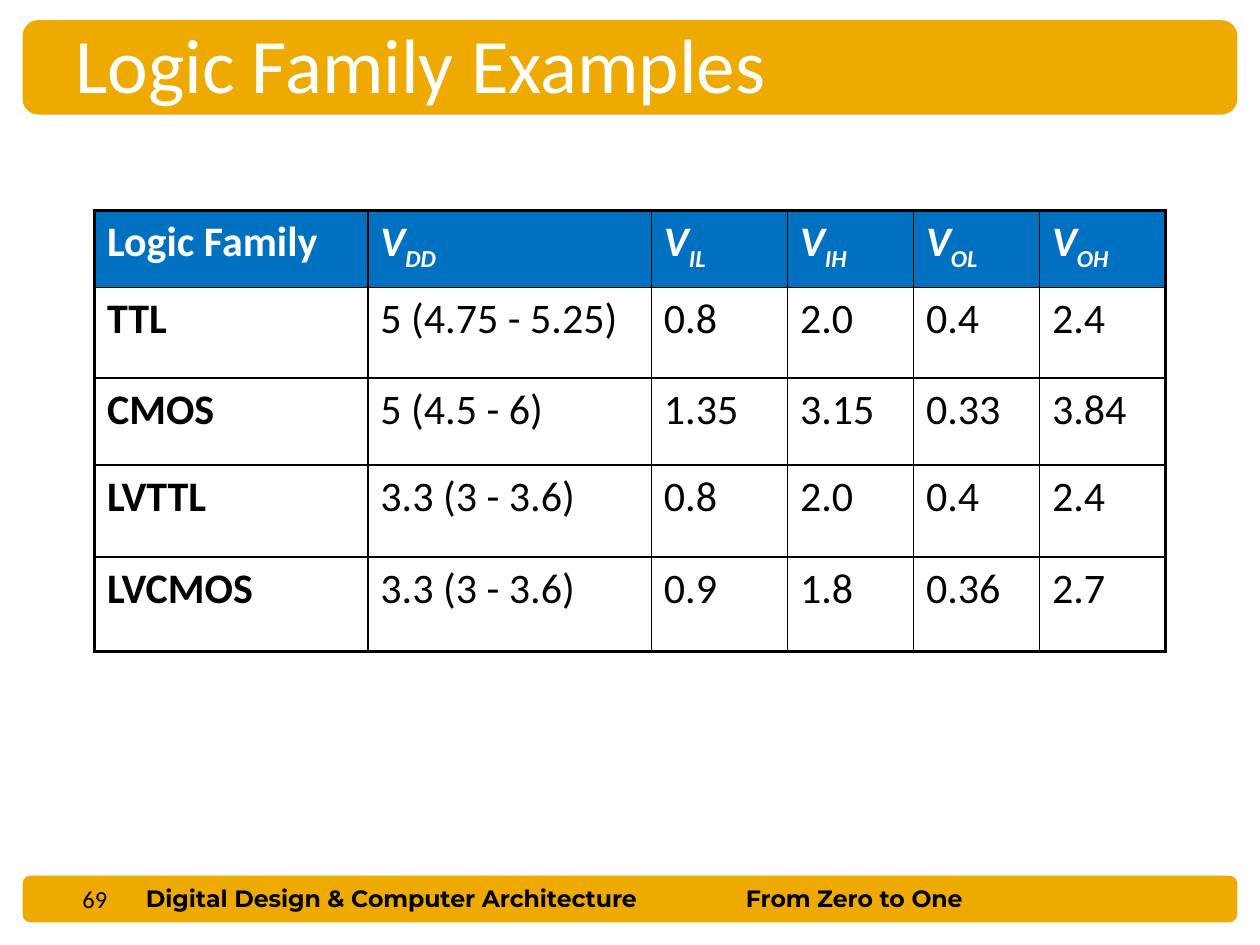
from lxml import etree
from pptx import Presentation
from pptx.dml.color import RGBColor
from pptx.enum import shapes, text
from pptx.oxml import ns
from pptx.util import Inches, Pt

COLOURS = {"gold": "EEAA00", "blue": "0070C0", "black": "000000", "white": "FFFFFF"}
COLUMN_WIDTHS = [2.17, 2.25, 1.08, 1, 1, 1]
ROW_HEIGHTS = [0.61, 0.72, 0.69, 0.73, 0.75]
VOLTAGES = ["DD", "IL", "IH", "OL", "OH"]
FAMILIES = [
    ["TTL", "5 (4.75 - 5.25)", "0.8", "2.0", "0.4", "2.4"],
    ["CMOS", "5 (4.5 - 6)", "1.35", "3.15", "0.33", "3.84"],
    ["LVTTL", "3.3 (3 - 3.6)", "0.8", "2.0", "0.4", "2.4"],
    ["LVCMOS", "3.3 (3 - 3.6)", "0.9", "1.8", "0.36", "2.7"],
]


def colour(name):
    """Return the named palette colour."""
    return RGBColor.from_string(COLOURS[name])


def add_span(para, words, size=24, font="Calibri", ink="black", bold=False,
             italic=False, baseline=0):
    """Append formatted text to a paragraph."""
    span = para.add_run()
    span.text = words
    span.font.size = Pt(size)
    span.font.name = font
    span.font.bold = bold
    span.font.italic = italic
    span.font.color.rgb = colour(ink)
    if baseline:
        span.font._element.set("baseline", str(baseline * 1000))


def add_label(page, box, words, align=text.PP_ALIGN.LEFT, **style):
    """Place one line of text in a box."""
    label = page.shapes.add_textbox(*map(Inches, box))
    label.text_frame.word_wrap = True
    para = label.text_frame.paragraphs[0]
    para.alignment = align
    add_span(para, words, **style)


def add_bar(page, box):
    """Draw a rounded gold bar."""
    bar = page.shapes.add_shape(shapes.MSO_SHAPE.ROUNDED_RECTANGLE, *map(Inches, box))
    bar.shadow.inherit = False
    bar.fill.solid()
    bar.fill.fore_color.rgb = colour("gold")
    bar.line.fill.background()


def add_header(page, box):
    """Draw the title bar and its title."""
    left, top, width, height = box
    add_bar(page, box)
    add_label(page, (left + 0.32, top - 0.08, width - 0.97, height + 0.09),
              "Logic Family Examples", size=44, ink="white")


def add_footer(page, box):
    """Draw the footer bar with page number, book title and subtitle."""
    left, top, width, height = box
    add_bar(page, box)
    style = {"size": 13.5, "font": "Montserrat", "bold": True}
    add_label(page, (left + 0.88, top + 0.02, 4.44, 0.33),
              "Digital Design & Computer Architecture", **style)
    add_label(page, (left + 4.07, top + 0.02, 5.06, 0.33), "From Zero to One",
              align=text.PP_ALIGN.CENTER, **style)
    add_label(page, (left - 1.13, top + 0.02, 1.9, 0.34), "69",
              align=text.PP_ALIGN.RIGHT, size=14)


def set_borders(cell, outer):
    """Rule a cell, with heavier lines on the sides found in outer."""
    properties = cell._tc.get_or_add_tcPr()
    for index, side in enumerate("LRTB"):
        width = Pt(2.25 if side in outer else 1)
        line = etree.Element(ns.qn(f"a:ln{side}"), w=str(width))
        fill = etree.SubElement(line, ns.qn("a:solidFill"))
        etree.SubElement(fill, ns.qn("a:srgbClr"), val=COLOURS["black"])
        properties.insert(index, line)


def outer_sides(row, column):
    """Name the sides of a cell that lie on the table's edge."""
    edges = {"L": column == 0, "R": column == len(COLUMN_WIDTHS) - 1,
             "T": row == 0, "B": row == len(ROW_HEIGHTS) - 1}
    return [side for side, on_edge in edges.items() if on_edge]


def add_family_table(page, box):
    """Build the table of logic families and their voltage levels."""
    table = page.shapes.add_table(len(ROW_HEIGHTS), len(COLUMN_WIDTHS),
                                  *map(Inches, box)).table
    table.first_row = table.horz_banding = False
    for column, width in zip(table.columns, COLUMN_WIDTHS):
        column.width = Inches(width)
    for row, height in zip(table.rows, ROW_HEIGHTS):
        row.height = Inches(height)
    heading = {"ink": "white", "bold": True}
    add_span(table.cell(0, 0).text_frame.paragraphs[0], "Logic Family", **heading)
    for column, subscript in enumerate(VOLTAGES, 1):
        para = table.cell(0, column).text_frame.paragraphs[0]
        add_span(para, "V", italic=True, **heading)
        add_span(para, subscript, italic=True, baseline=-25, **heading)
    for row, values in enumerate(FAMILIES, 1):
        for column, value in enumerate(values):
            para = table.cell(row, column).text_frame.paragraphs[0]
            add_span(para, value, bold=column == 0)
    for row in range(len(ROW_HEIGHTS)):
        for column in range(len(COLUMN_WIDTHS)):
            cell = table.cell(row, column)
            if row == 0:
                cell.fill.solid()
                cell.fill.fore_color.rgb = colour("blue")
            else:
                cell.fill.background()
            set_borders(cell, outer_sides(row, column))


def main():
    """Build and save the deck."""
    deck = Presentation()
    deck.slide_width, deck.slide_height = Inches(10), Inches(7.5)
    page = deck.slides.add_slide(deck.slide_layouts[6])
    add_footer(page, (0.18, 6.95, 9.64, 0.37))
    add_family_table(page, (0.75, 1.67, 8.5, 3.5))
    add_header(page, (0.18, 0.16, 9.64, 0.75))
    deck.save("out.pptx")


if __name__ == "__main__":
    main()
